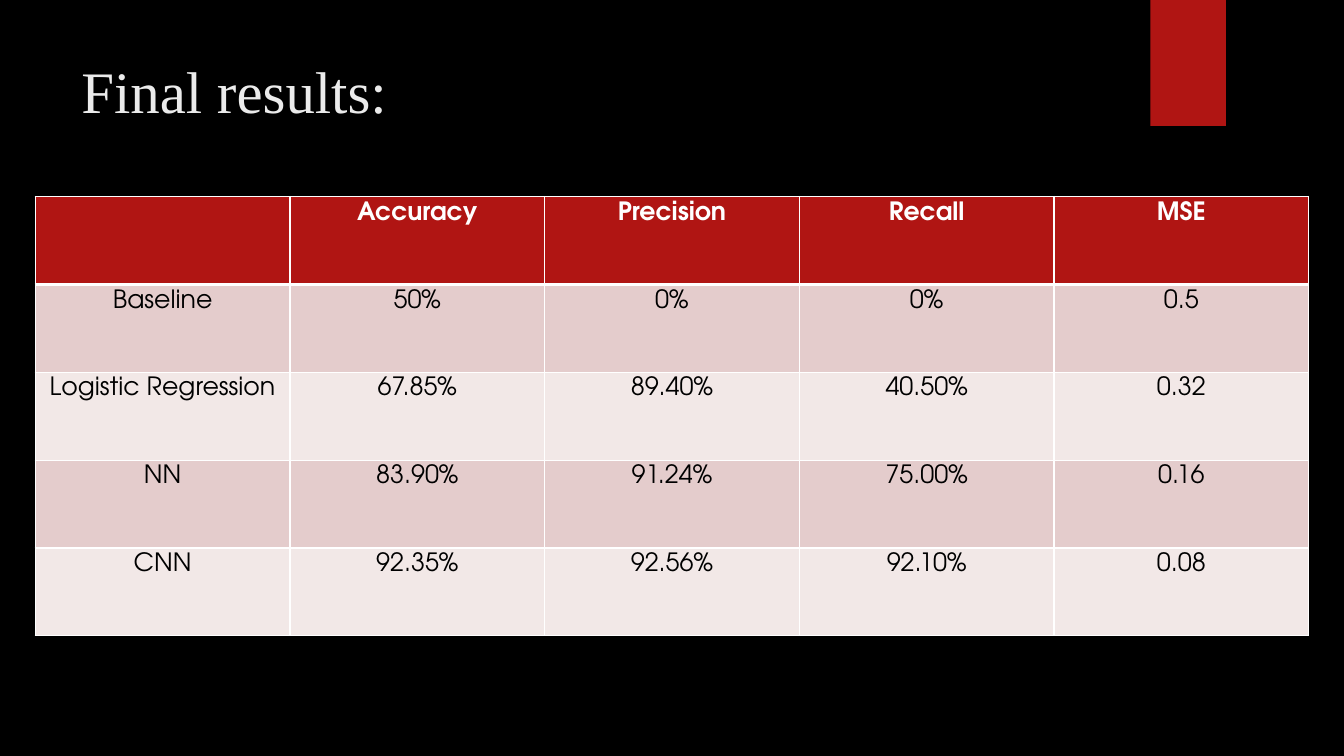
import pptx
import pptx.util
import pptx.dml.color
import pptx.enum.shapes
import pptx.enum.text
from lxml import etree

TITLE = "Final results:"
ROWS = [
    ("", "Accuracy", "Precision", "Recall", "MSE"),
    ("Baseline", "50%", "0%", "0%", "0.5"),
    ("Logistic Regression", "67.85%", "89.40%", "40.50%", "0.32"),
    ("NN", "83.90%", "91.24%", "75.00%", "0.16"),
    ("CNN", "92.35%", "92.56%", "92.10%", "0.08"),
]
COLORS = {
    "background": "000000", "accent": "B01513", "title": "EBEBEB",
    "band_dark": "E4CCCC", "band_light": "F2E8E7",
    "border": "FFFFFF", "header_text": "FFFFFF", "body_text": "000000",
}
TITLE_FONT, TABLE_FONT = "Times New Roman", "TeX Gyre Adventor"
WIDTH, HEIGHT = 13.33, 7.5
MARGIN, TABLE_TOP, TABLE_H = 0.35, 1.95, 4.36
COL_W = (WIDTH - 2 * MARGIN) / len(ROWS[0])
ROW_H = TABLE_H / len(ROWS)

inch = pptx.util.Inches


def rgb(name):
    return pptx.dml.color.RGBColor.from_string(COLORS[name])


def paint(sp, color):
    sp.fill.solid()
    sp.fill.fore_color.rgb = rgb(color)


def write(tf, text, font, size, color, bold=False, align="LEFT"):
    p = tf.paragraphs[0]
    p.alignment = getattr(pptx.enum.text.PP_ALIGN, align)
    p.font.size = pptx.util.Pt(size)
    if text:
        r = p.add_run()
        r.text = text
        r.font.name, r.font.size, r.font.bold = font, pptx.util.Pt(size), bold
        r.font.color.rgb = rgb(color)


def add_borders(cell, top, bottom):
    """Draw the four cell edges, which must come before the cell's fill."""
    props = cell._tc.get_or_add_tcPr()
    ns = "{http://schemas.openxmlformats.org/drawingml/2006/main}"
    for side, width in (("L", 1), ("R", 1), ("T", top), ("B", bottom)):
        ln = etree.SubElement(props, ns + "ln" + side, w=str(pptx.util.Pt(width)))
        fill = etree.SubElement(ln, ns + "solidFill")
        etree.SubElement(fill, ns + "srgbClr", val=COLORS["border"])


prs = pptx.Presentation()
prs.slide_width, prs.slide_height = inch(WIDTH), inch(HEIGHT)
slide = prs.slides.add_slide(prs.slide_layouts[6])
paint(slide.background, "background")

# Red tab at the top edge
tab = slide.shapes.add_shape(pptx.enum.shapes.MSO_SHAPE.RECTANGLE,
                             inch(11.41), 0, inch(0.75), inch(HEIGHT / 6))
tab.shadow.inherit = False
paint(tab, "accent")
tab.line.fill.background()

# Title
tf = slide.shapes.add_textbox(inch(0.71), inch(0.47), inch(10.29), inch(0.84)).text_frame
tf.word_wrap = True
tf.vertical_anchor = pptx.enum.text.MSO_ANCHOR.MIDDLE
write(tf, TITLE, TITLE_FONT, 42, "title")

# Results table
table = slide.shapes.add_table(len(ROWS), len(ROWS[0]), inch(MARGIN), inch(TABLE_TOP),
                               inch(COL_W * len(ROWS[0])), inch(TABLE_H)).table
for col in table.columns:
    col.width = inch(COL_W)
for i, values in enumerate(ROWS):
    table.rows[i].height = inch(ROW_H)
    header = i == 0
    fill = "accent" if header else ("band_light", "band_dark")[i % 2]
    for j, value in enumerate(values):
        cell = table.cell(i, j)
        cell.margin_top = cell.margin_bottom = inch(0.05)
        add_borders(cell, top=3 if i == 1 else 1, bottom=3 if header else 1)
        paint(cell, fill)
        write(cell.text_frame, value, TABLE_FONT, 18,
              "header_text" if header else "body_text", bold=header, align="CENTER")

prs.save("out.pptx")
